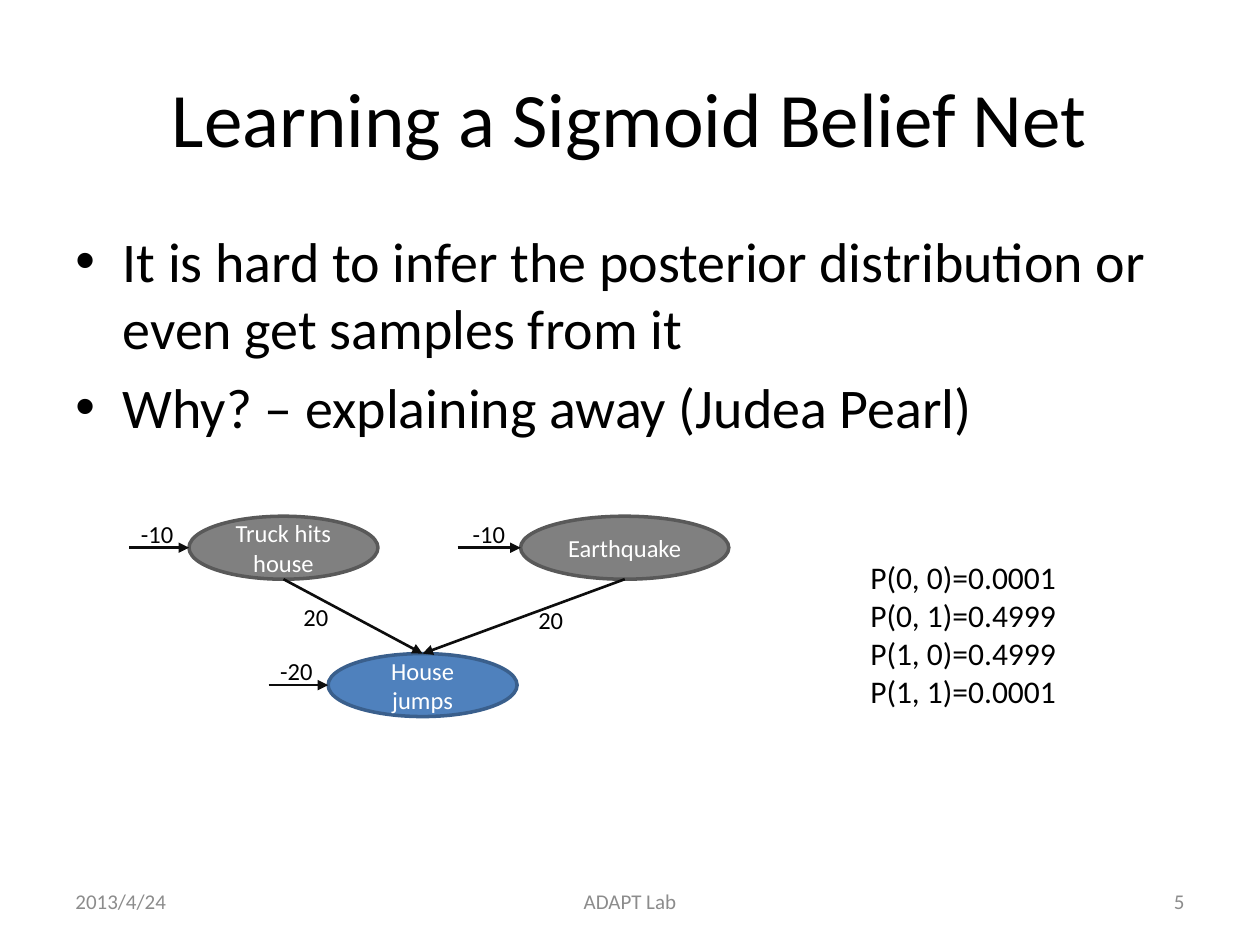
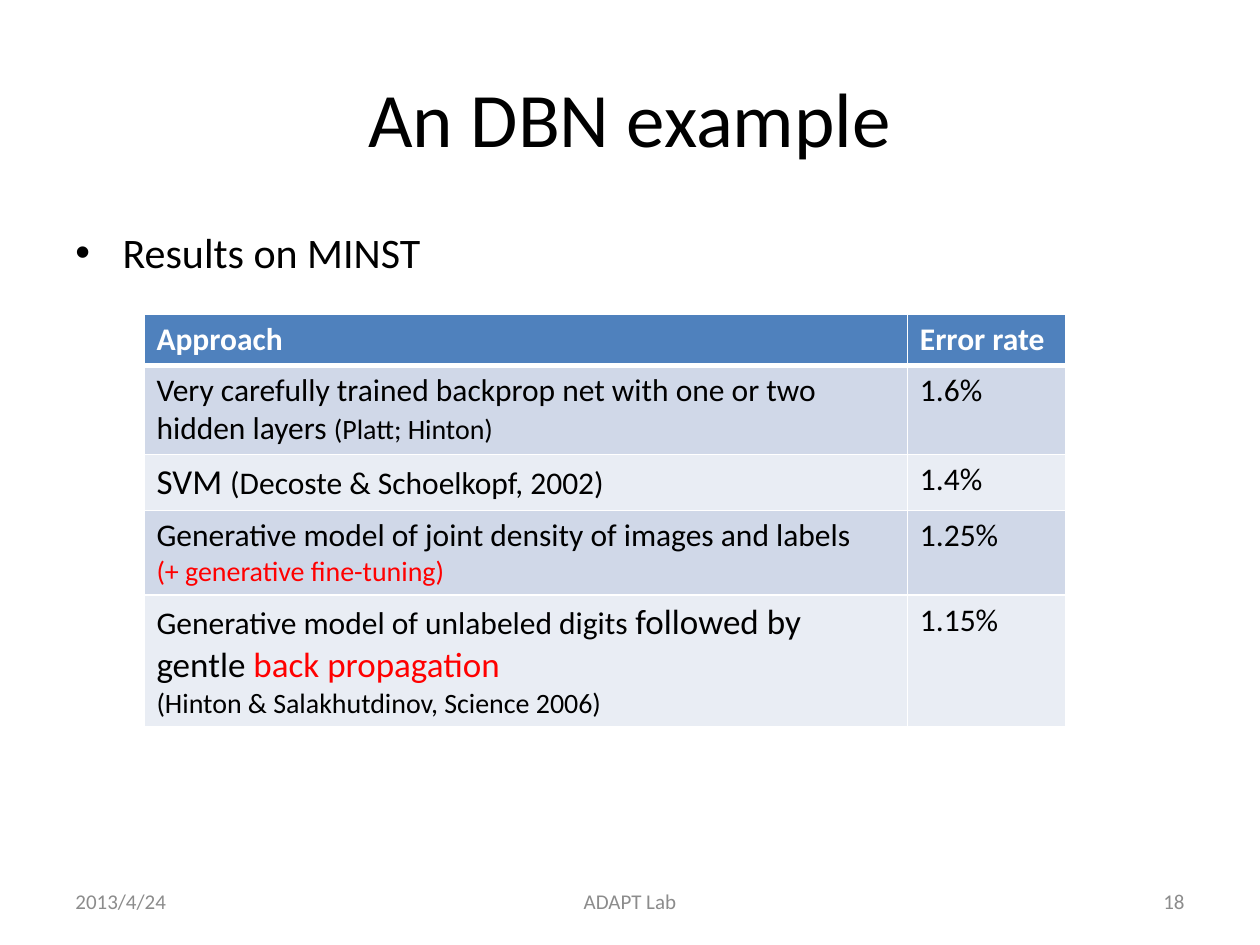
import pptx
import pptx.util
import pptx.dml.color
import pptx.enum.shapes
import pptx.enum.text
import pptx.oxml
import pptx.oxml.ns

Pt = pptx.util.Pt
ALIGN = pptx.enum.text.PP_ALIGN
ANCHOR = pptx.enum.text.MSO_ANCHOR
SHAPE = pptx.enum.shapes.MSO_SHAPE
LINE = pptx.enum.shapes.MSO_CONNECTOR

FONT = "Calibri"
BLACK, WHITE, RED = "000000", "FFFFFF", "FF0000"
BLUE, NAVY = "4F81BD", "3A5F8C"
GRAY, DARK, INK, FAINT = "808080", "595959", "0D0D0D", "8C8C8C"
BANDS = ["D0D8E8", "E9EDF4"]


def rgb(code):
    return pptx.dml.color.RGBColor.from_string(code)


def paint(shape, code):
    shape.fill.solid()
    shape.fill.fore_color.rgb = rgb(code)


def node(parent, tag, place=None, **attrs):
    """Add a DrawingML element to parent, last or at the given place."""
    child = parent.makeelement(pptx.oxml.ns.qn(tag), attrs)
    parent.insert(len(parent) if place is None else place, child)
    return child


def style(run, size, color=BLACK, bold=False):
    font = run.font
    font.name, font.size, font.bold = FONT, Pt(size), bold
    font.color.rgb = rgb(color)


def write(frame, text, size, color=BLACK, align=ALIGN.LEFT):
    frame.text = text
    for para in frame.paragraphs:
        para.alignment = align
        for run in para.runs:
            style(run, size, color)


def label(slide, text, left, top, width, height, size,
          color=BLACK, align=ALIGN.LEFT, anchor=ANCHOR.TOP, wrap=False):
    box = slide.shapes.add_textbox(Pt(left), Pt(top), Pt(width), Pt(height))
    frame = box.text_frame
    frame.word_wrap = wrap
    frame.vertical_anchor = anchor
    write(frame, text, size, color, align)
    return frame


def bullets(slide, lines, size):
    frame = label(slide, "\n".join(lines), 36, 126, 648, 356, size, wrap=True)
    for i, para in enumerate(frame.paragraphs):
        props = para._p.get_or_add_pPr()
        props.set("marL", str(Pt(27)))
        props.set("indent", str(Pt(-27)))
        node(props, "a:buFont", typeface="Arial")
        node(props, "a:buChar", char="•")
        if i:
            para.space_before = Pt(size * 0.2)


def page(deck, title, number):
    """Add a slide with its title and footer."""
    slide = deck.slides.add_slide(deck.slide_layouts[5])
    head = slide.shapes.title
    head.left, head.top, head.width, head.height = map(Pt, (36, 21.6, 648, 90))
    head.text_frame.vertical_anchor = ANCHOR.MIDDLE
    write(head.text_frame, title, 44, align=ALIGN.CENTER)
    for text, left, width, align in [
            ("2013/4/24", 36, 168, ALIGN.LEFT),
            ("ADAPT Lab", 246, 228, ALIGN.CENTER),
            (str(number), 516, 168, ALIGN.RIGHT)]:
        label(slide, text, left, 500.5, width, 28.75, 12, FAINT, align,
              ANCHOR.MIDDLE, True)
    return slide


def oval(slide, text, left, top, width, fill, edge):
    shape = slide.shapes.add_shape(
        SHAPE.OVAL, Pt(left), Pt(top), Pt(width), Pt(36))
    shape.shadow.inherit = False
    paint(shape, fill)
    shape.line.color.rgb = rgb(edge)
    shape.line.width = Pt(2)
    shape.text_frame.vertical_anchor = ANCHOR.MIDDLE
    write(shape.text_frame, text, 14, WHITE, ALIGN.CENTER)
    return shape


def arrow(slide, x1, y1, x2, y2):
    link = slide.shapes.add_connector(LINE.STRAIGHT, x1, y1, x2, y2)
    link.line.color.rgb = rgb(INK)
    link.line.width = Pt(1.5)
    node(link.line._get_or_add_ln(), "a:tailEnd", type="triangle")
    node(link._element.spPr, "a:effectLst")
    return link


def bias(slide, unit, text, length):
    """Draw the arrow that enters a unit from the left, with its weight."""
    mid = unit.top + unit.height // 2
    arrow(slide, unit.left - Pt(length), mid, unit.left, mid)
    label(slide, text, unit.left.pt - 34.5, unit.top.pt - 2, 33, 24.25, 14)


def cause(slide, unit, effect, left, top):
    """Draw the arrow from a cause down to its effect, with its weight."""
    link = arrow(slide, unit.left + unit.width // 2, unit.top + unit.height,
                 effect.left + effect.width // 2, effect.top)
    link.end_connect(effect, 0)
    label(slide, "20", left, top, 28.5, 24.25, 14)


def border(cell, bottom):
    props = cell._tc.get_or_add_tcPr()
    for i, side in enumerate("LRTB"):
        width = bottom if side == "B" else 1
        line = node(props, "a:ln" + side, i, w=str(Pt(width)))
        fill = node(line, "a:solidFill")
        node(fill, "a:srgbClr", val=WHITE)


def fill(cell, paras, color, bottom=1):
    """Fill a cell with paragraphs, each a list of (text, size, ...) runs."""
    paint(cell, color)
    border(cell, bottom)
    frame = cell.text_frame
    for i, runs in enumerate(paras):
        para = frame.add_paragraph() if i else frame.paragraphs[0]
        for text, *look in runs:
            run = para.add_run()
            run.text = text
            style(run, *look)


def grid(slide, rows, heights, widths, left, top):
    frame = slide.shapes.add_table(
        len(rows), len(widths), Pt(left), Pt(top),
        Pt(sum(widths)), Pt(sum(heights)))
    table = frame.table
    for col, width in zip(table.columns, widths):
        col.width = Pt(width)
    for i, (row, height) in enumerate(zip(rows, heights)):
        table.rows[i].height = Pt(height)
        for j, paras in enumerate(row):
            if i:
                fill(table.cell(i, j), paras, BANDS[(i - 1) % 2])
            else:
                fill(table.cell(i, j), paras, BLUE, 3)


def belief(deck):
    slide = page(deck, "Learning a Sigmoid Belief Net", 5)
    bullets(slide, [
        "It is hard to infer the posterior distribution or even get samples "
        "from it",
        "Why? – explaining away (Judea Pearl)"], 32)
    truck = oval(slide, "Truck hits house", 108, 295, 108, GRAY, DARK)
    quake = oval(slide, "Earthquake", 297.5, 295, 119, GRAY, DARK)
    house = oval(slide, "House jumps", 187.5, 373.5, 108, BLUE, NAVY)
    cause(slide, truck, house, 166.25, 340.5)
    cause(slide, quake, house, 300.5, 342)
    for unit, text, length in [(truck, "-10", 34), (quake, "-10", 36),
                               (house, "-20", 34)]:
        bias(slide, unit, text, length)
    odds = [("0, 0", "0.0001"), ("0, 1", "0.4999"),
            ("1, 0", "0.4999"), ("1, 1", "0.0001")]
    label(slide, "\n".join(f"P({pair})={odd}" for pair, odd in odds),
          490.25, 315.5, 121.5, 94.5, 18)


def results(deck):
    slide = page(deck, "An DBN example", 18)
    bullets(slide, ["Results on MINST"], 24)
    approaches = [
        ([[("Very carefully trained backprop net with one or two hidden "
            "layers ", 18), ("(Platt; Hinton)", 16)]], "1.6%"),
        ([[("SVM ", 20), ("(Decoste & Schoelkopf, 2002)", 18)]], "1.4%"),
        ([[("Generative model of joint density of images and labels", 18)],
          [("(+ generative fine-tuning)", 16, RED)]], "1.25%"),
        ([[("Generative model of unlabeled digits ", 18),
           ("followed by gentle ", 20), ("back propagation", 20, RED)],
          [("(Hinton & Salakhutdinov, Science 2006)", 16)]], "1.15%"),
    ]
    rows = [[[[(text, 18, WHITE, True)]] for text in
             ("Approach", "Error rate")]]
    rows += [[paras, [[(rate, 18)]]] for paras, rate in approaches]
    grid(slide, rows, [29.2, 51, 32, 48.5, 75], [436.25, 90.75], 82.25, 179.5)


def main():
    deck = pptx.Presentation()
    deck.slide_width, deck.slide_height = Pt(720), Pt(540)
    belief(deck)
    results(deck)
    deck.save("out.pptx")


if __name__ == "__main__":
    main()
